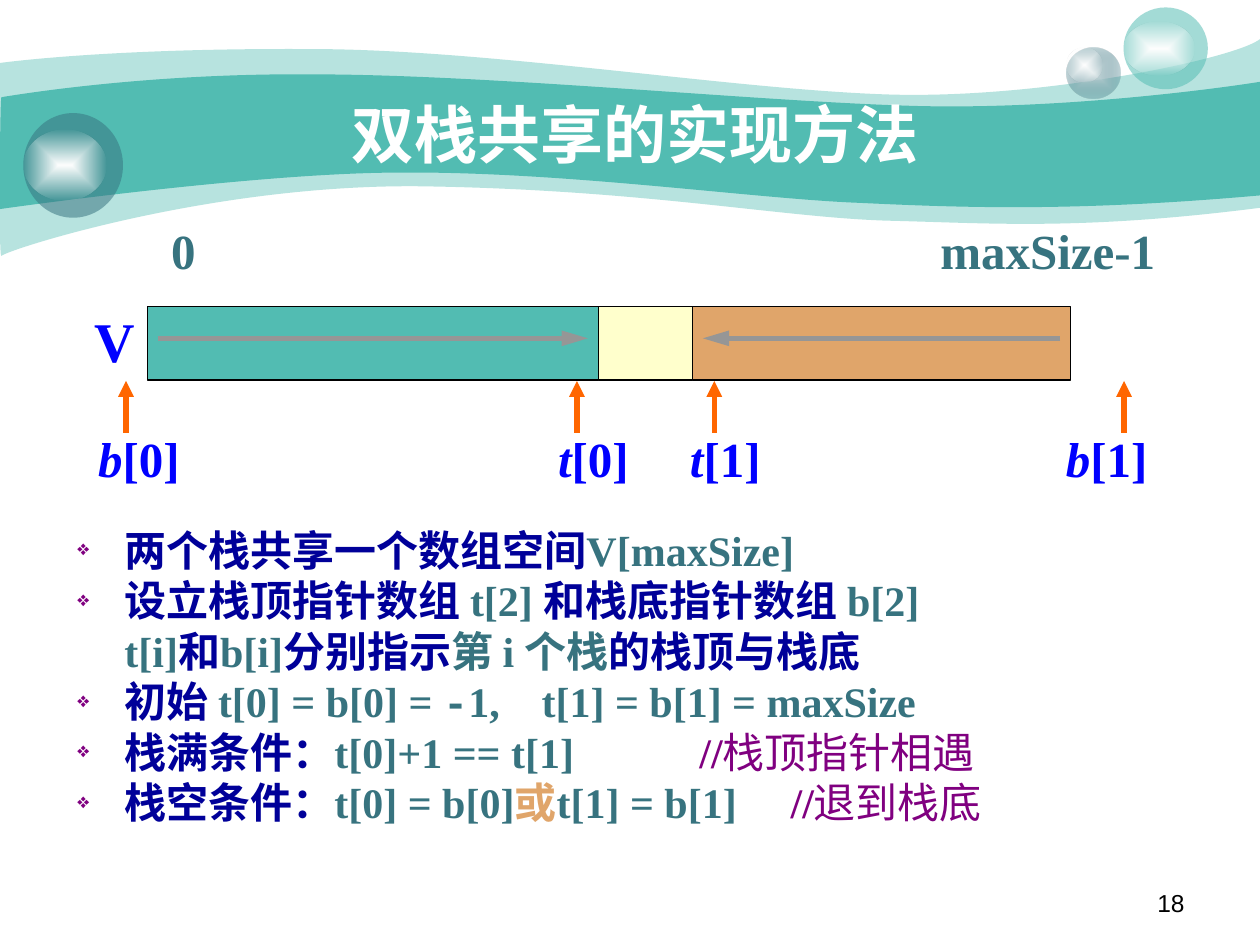
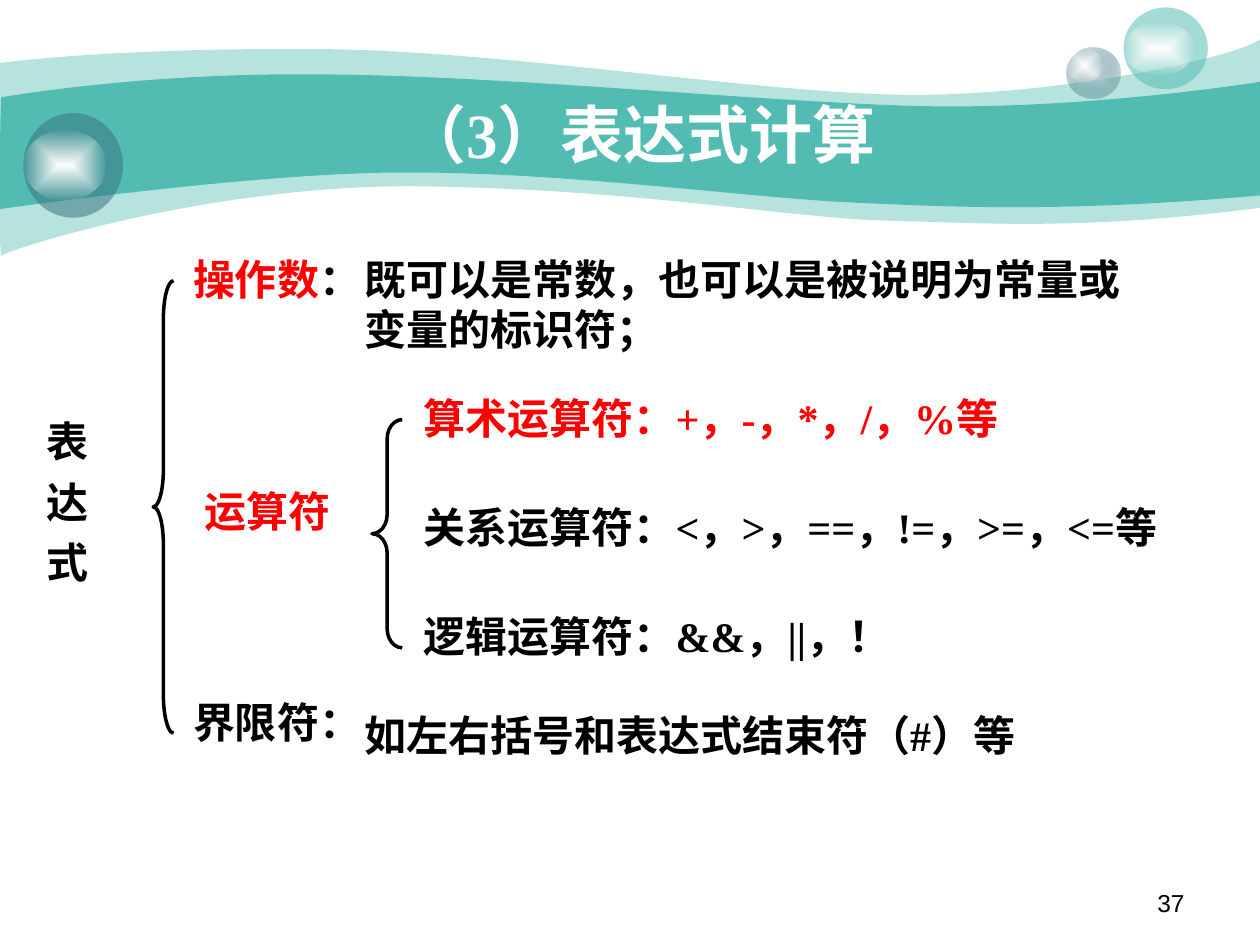
from collections import namedtuple
from dataclasses import dataclass

from pptx import Presentation
from pptx.dml.color import RGBColor
from pptx.enum import shapes, text
from pptx.oxml import parse_xml
from pptx.oxml.ns import nsdecls, qn
from pptx.util import Cm, Pt


@dataclass(frozen=True)
class Theme:
    teal: str = "52BCB2"
    slate: str = "37737F"
    mist: str = "CCDBDE"
    white: str = "FFFFFF"
    black: str = "000000"
    cream: str = "FFFFCC"
    sand: str = "E0A56A"
    blue: str = "0000FF"
    navy: str = "000099"
    plum: str = "800080"
    red: str = "FF0000"
    flame: str = "FF6600"
    grey: str = "969696"
    serif: str = "Times New Roman"
    sans: str = "Arial"
    mono: str = "Courier New"
    head: int = 36
    big: int = 32
    label: int = 28
    body: int = 24
    foot: int = 14


T = Theme()
Box = namedtuple("Box", "x y w h")
Span = namedtuple("Span", "text color bold font", defaults=(T.slate, True, T.serif))

OUTER = [
    (0, 1.27),
    (0.61, 1.19, 2.72, 0.97, 6.27, 0.99),
    (9.8, 0.99, 14.61, 1.78, 17.75, 1.9),
    (20.88, 2.03, 24.89, 1.19, 25.4, 0.79),
    (25.4, 4.19),
    (21.79, 4.65, 19.99, 4.5, 17.91, 4.45),
    (15.8, 4.39, 13.08, 3.84, 8.71, 3.76),
    (4.37, 3.66, 0.1, 5.05, 0.03, 5.16),
    (-0.03, 5.28, 0, 1.9, 0, 1.27),
]
INNER = [
    (0.03, 1.96),
    (0.05, 1.96, 2.79, 1.47, 6.3, 1.5),
    (9.8, 1.5, 15.11, 2.03, 18.24, 2.13),
    (21.36, 2.24, 24.79, 1.75, 25.4, 1.65),
    (25.4, 3.94),
    (21.67, 4.27, 19.43, 4.19, 17.32, 4.09),
    (15.21, 4.01, 11.35, 3.45, 8.05, 3.48),
    (5.16, 3.48, -0.05, 4.22, -0.03, 4.22),
    (0, 4.22, 0, 1.96, 0.03, 1.96),
]


def rgb(code):
    return RGBColor.from_string(code)


def tint(code, alpha):
    return f'<a:srgbClr val="{code}"><a:alpha val="{alpha * 1000}"/></a:srgbClr>'


def paint(shape, *stops):
    shape.shadow.inherit = False
    shape.line.fill.background()
    shape.fill.solid()
    if len(stops) == 1:
        xml = f'<a:solidFill {nsdecls("a")}>{tint(*stops[0])}</a:solidFill>'
    else:
        marks = "".join(f'<a:gs pos="{pos}">{tint(*stop)}</a:gs>'
                        for pos, stop in zip((0, 100000), stops))
        xml = (f'<a:gradFill {nsdecls("a")} rotWithShape="1"><a:gsLst>{marks}</a:gsLst>'
               '<a:path path="rect"><a:fillToRect l="50000" t="50000" r="50000" b="50000"/>'
               '</a:path></a:gradFill>')
    props = shape._element.spPr
    props.replace(props.find(qn("a:solidFill")), parse_xml(xml))


def wave(slide, steps, alpha):
    spots = [(Cm(step[i]), Cm(step[i + 1])) for step in steps for i in range(0, len(step), 2)]
    draft = slide.shapes.build_freeform(*spots[0])
    draft.add_line_segments(spots[1:], close=True)
    shape = draft.convert_to_shape()
    edges = iter(list(shape._element.iter(qn("a:lnTo"))))
    for step in steps[1:]:
        group = [next(edges) for _ in range(len(step) // 2)]
        if len(group) == 3:
            curve = parse_xml(f'<a:cubicBezTo {nsdecls("a")}/>')
            group[0].addprevious(curve)
            for edge in group:
                curve.append(edge[0])
                edge.getparent().remove(edge)
    paint(shape, (T.teal, alpha))


def solid(slide, kind, box):
    return slide.shapes.add_shape(kind, *map(Cm, box))


def orb(slide, box, shine, *stops):
    for area, fill in ((box, stops), (shine, ((T.white, 100), (T.white, 0)))):
        paint(solid(slide, shapes.MSO_SHAPE.OVAL, area), *fill)


def ink(run, color, size, bold=True, font=T.serif):
    run.font.size = Pt(size)
    run.font.name = font
    run.font.bold = bold
    run.font.color.rgb = rgb(color)


def frame(slide, box, wrap=True):
    area = slide.shapes.add_textbox(*map(Cm, box)).text_frame
    area.word_wrap = wrap
    return area


def write(slide, box, words, color=T.black, size=T.body, align=None,
          bold=True, font=T.serif, wrap=True):
    area = frame(slide, box, wrap)
    area.text = words
    line = area.paragraphs[0]
    line.alignment = align
    ink(line.runs[0], color, size, bold, font)
    return area


def tabs(line, *stops):
    marks = "".join(f'<a:tab pos="{Cm(stop)}" algn="l"/>' for stop in stops)
    line._p.get_or_add_pPr().append(
        parse_xml(f'<a:tabLst {nsdecls("a")}>{marks}</a:tabLst>'))


def dress(slide, title, box, number):
    wave(slide, OUTER, 41)
    wave(slide, INNER, 100)
    orb(slide, Box(21.51, 0.97, 1.07, 1.02), Box(21.51, 0.97, 0.71, 0.69),
        (T.mist, 100), (T.slate, 31))
    orb(slide, Box(22.65, 0.15, 1.7, 1.65), Box(22.65, 0.43, 1.42, 1.09), (T.teal, 53))
    orb(slide, Box(0.47, 2.28, 2.01, 2.11), Box(0.47, 2.62, 1.68, 1.42), (T.slate, 53))
    write(slide, Box(18.21, 17.78, 5.92, 0.89), number, size=T.foot,
          align=text.PP_ALIGN.RIGHT, bold=False, font=T.sans)
    head = write(slide, box, title, T.white, T.head, text.PP_ALIGN.CENTER)
    head.vertical_anchor = text.MSO_ANCHOR.MIDDLE


def arrow(slide, start, end, color, reach="med"):
    wire = slide.shapes.add_connector(
        shapes.MSO_CONNECTOR.STRAIGHT, *map(Cm, (*start, *end)))
    wire.line.color.rgb = rgb(color)
    wire.line.width = Pt(3)
    props = wire._element.spPr
    props.find(qn("a:ln")).append(
        parse_xml(f'<a:tailEnd {nsdecls("a")} type="triangle" w="med" len="{reach}"/>'))
    props.append(parse_xml(f'<a:effectLst {nsdecls("a")}/>'))


def stacks(slide, box):
    base = box.y + box.h
    area = frame(slide, Box(box.x - 1.24, base + 0.86, 21.67, 1.45), wrap=False)
    line = area.paragraphs[0]
    tabs(line, 9.27, 11.93, 19.51)
    for name, index in (("b", "[0]\t"), ("t", "[0]\t"), ("t", "[1]\t"), ("b", "[1]")):
        for words, slant in ((name, True), (index, False)):
            run = line.add_run()
            run.text = words
            ink(run, T.blue, T.label)
            run.font.italic = slant
    for tip in (-0.43, 8.66, 11.43, 19.69):
        arrow(slide, (box.x + tip, base + 1.06), (box.x + tip, base + 0.02), T.flame)

    left = box.x
    cells = []
    for width, color in ((9.09, T.teal), (1.9, T.cream), (7.62, T.sand)):
        cell = Box(left, box.y, width, box.h)
        rect = solid(slide, shapes.MSO_SHAPE.RECTANGLE, cell)
        rect.shadow.inherit = False
        rect.fill.solid()
        rect.fill.fore_color.rgb = rgb(color)
        rect.line.color.rgb = rgb(T.black)
        rect.line.width = Pt(0.75)
        cells.append(cell)
        left += width

    ends = write(slide, Box(box.x + 0.23, box.y - 1.85, 20.37, 1.45), "0\tmaxSize-1",
                 T.slate, T.label, wrap=False)
    tabs(ends.paragraphs[0], 15.51)
    write(slide, Box(box.x - 1.32, box.y - 0.12, 1.32, 1.63), "V", T.blue, T.big, wrap=False)
    for cell, flip in ((cells[0], False), (cells[2], True)):
        path = [(cell.x + 0.21, box.y + 0.64), (cell.x + cell.w - 0.21, box.y + 0.64)]
        arrow(slide, *(path[::-1] if flip else path), T.grey, "lg")


def notes(slide, box):
    rows = [
        (True, None, [Span("两个栈共享一个数组空间", T.navy), Span("V[maxSize]")]),
        (True, None, [Span("设立栈顶指针数组 ", T.navy), Span("t[2] "),
                      Span("和栈底指针数组 ", T.navy), Span("b[2]")]),
        (False, None, [Span("t[i]"), Span("和", T.navy), Span("b[i]"),
                       Span("分别指示", T.navy), Span("第 i 个栈"),
                       Span("的栈顶与栈底", T.navy)]),
        (True, 9.36, [Span("初始 ", T.navy), Span("t[0] = b[0] = "),
                      Span("-", font=T.mono), Span("1,\tt[1] = b[1] = maxSize")]),
        (True, 12.54, [Span("栈满条件：", T.navy), Span("t[0]+1 == t[1]\t"),
                       Span("//", T.plum), Span("栈顶指针相遇", T.plum, False)]),
        (True, 14.38, [Span("栈空条件：", T.navy), Span("t[0] = b[0]"),
                       Span("或", T.sand), Span("t[1] = b[1]\t"),
                       Span("//", T.plum), Span("退到栈底", T.plum, False, T.sans)]),
    ]
    area = frame(slide, box)
    for i, (dot, stop, spans) in enumerate(rows):
        line = area.add_paragraph() if i else area.paragraphs[0]
        props = line._p.get_or_add_pPr()
        props.set("marL", str(Cm(0.95)))
        props.set("indent", str(Cm(-0.95 if dot else 0)))
        if dot:
            for xml in (f'<a:buClr {nsdecls("a")}><a:srgbClr val="{T.plum}"/></a:buClr>',
                        f'<a:buSzPct {nsdecls("a")} val="50000"/>',
                        f'<a:buChar {nsdecls("a")} char="❖"/>'):
                props.append(parse_xml(xml))
        if stop:
            tabs(line, stop)
        line.line_spacing = 0.95
        if i:
            line.space_before = Pt(1.5)
        for span in spans:
            run = line.add_run()
            run.text = span.text
            ink(run, span.color, T.body, span.bold, span.font)


def brace(slide, box, bend):
    curve = solid(slide, shapes.MSO_SHAPE.LEFT_BRACE, box)
    curve.adjustments[0] = bend
    curve.shadow.inherit = False
    curve.fill.background()
    curve.line.color.rgb = rgb(T.black)
    curve.line.width = Pt(2)


def tree(slide, box):
    root = write(slide, Box(box.x, box.y + 3.07, 1.8, 3.91), "表达式")
    root.paragraphs[0].line_spacing = 1.2
    brace(slide, Box(box.x + 2.4, box.y + 0.68, 0.41, 9.12), 1.87)
    brace(slide, Box(box.x + 6.81, box.y + 3.48, 0.61, 4.6), 0.63)

    for left, top, words, color, tail in ((2.8, 0, "操作数", T.red, "："),
                                          (2.61, 4.68, "运算符", T.red, ""),
                                          (2.8, 8.94, "界限符：", T.black, "")):
        area = write(slide, Box(box.x + left, box.y + top, 4.19, 1.27), words,
                     color, align=text.PP_ALIGN.CENTER)
        if tail:
            colon = area.paragraphs[0].add_run()
            colon.text = tail
            ink(colon, T.black, T.body)

    leaves = (
        (6.4, 0, 16.41, 2.29, "既可以是常数，也可以是被说明为常量或变量的标识符；", T.black),
        (7.6, 2.8, 14.2, 1.27, "算术运算符：+，-，*，/，%等", T.red),
        (7.6, 5, 15.9, 2.29, "关系运算符：<，>，==，!=，>=，<=等", T.black),
        (7.6, 7.21, 14.81, 1.27, "逻辑运算符：&&，||，！", T.black),
        (6.4, 9.19, 16.21, 1.27, "如左右括号和表达式结束符（#）等", T.black),
    )
    for left, top, width, height, words, color in leaves:
        write(slide, Box(box.x + left, box.y + top, width, height), words, color)


def main():
    deck = Presentation()
    deck.slide_width, deck.slide_height = Cm(25.4), Cm(19.05)
    blank = deck.slide_layouts[6]

    share = deck.slides.add_slide(blank)
    dress(share, "双栈共享的实现方法", Box(2.54, 1.9, 20.52, 1.57), "18")
    stacks(share, Box(2.97, 6.18, 18.61, 1.48))
    notes(share, Box(1.31, 10.52, 22.83, 7.47))

    terms = deck.slides.add_slide(blank)
    dress(terms, "（3）表达式计算", Box(2.1, 1.69, 21.59, 2.01), "37")
    tree(terms, Box(0.69, 4.98, 23.5, 10.5))

    deck.save("out.pptx")


if __name__ == "__main__":
    main()
